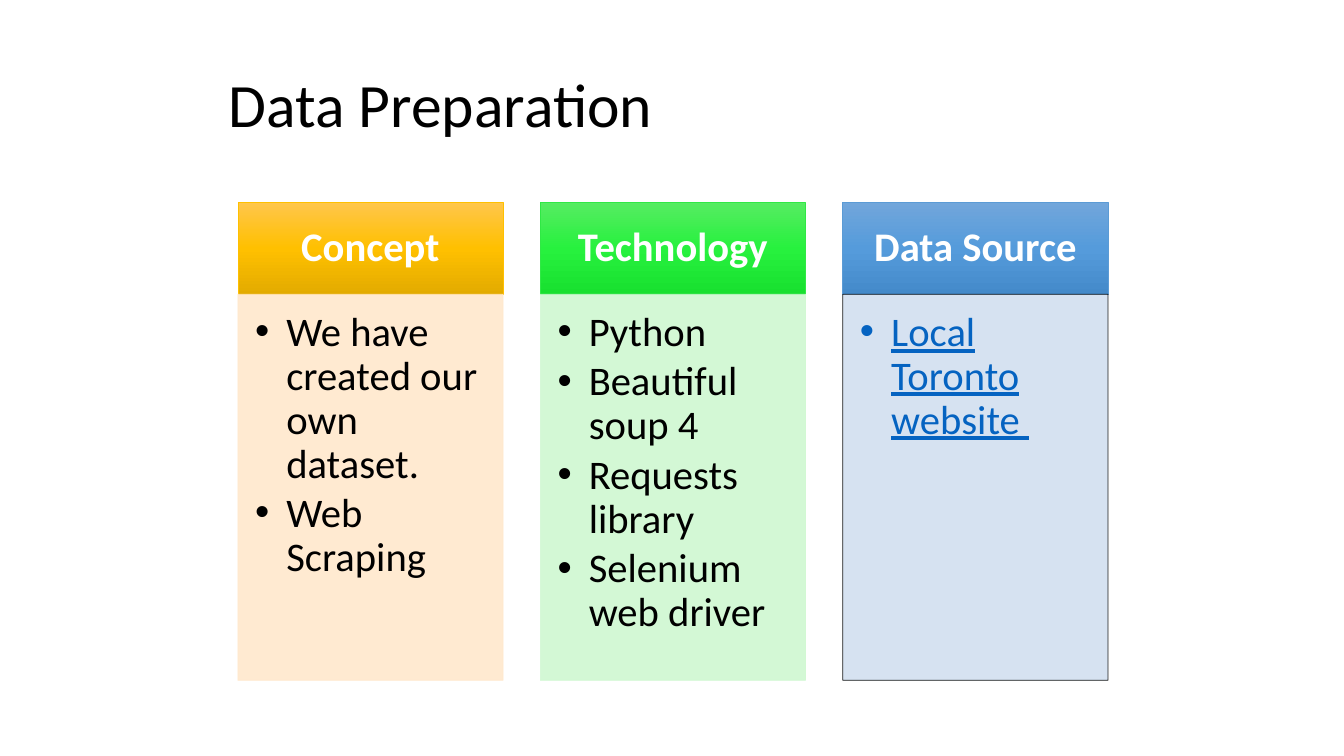
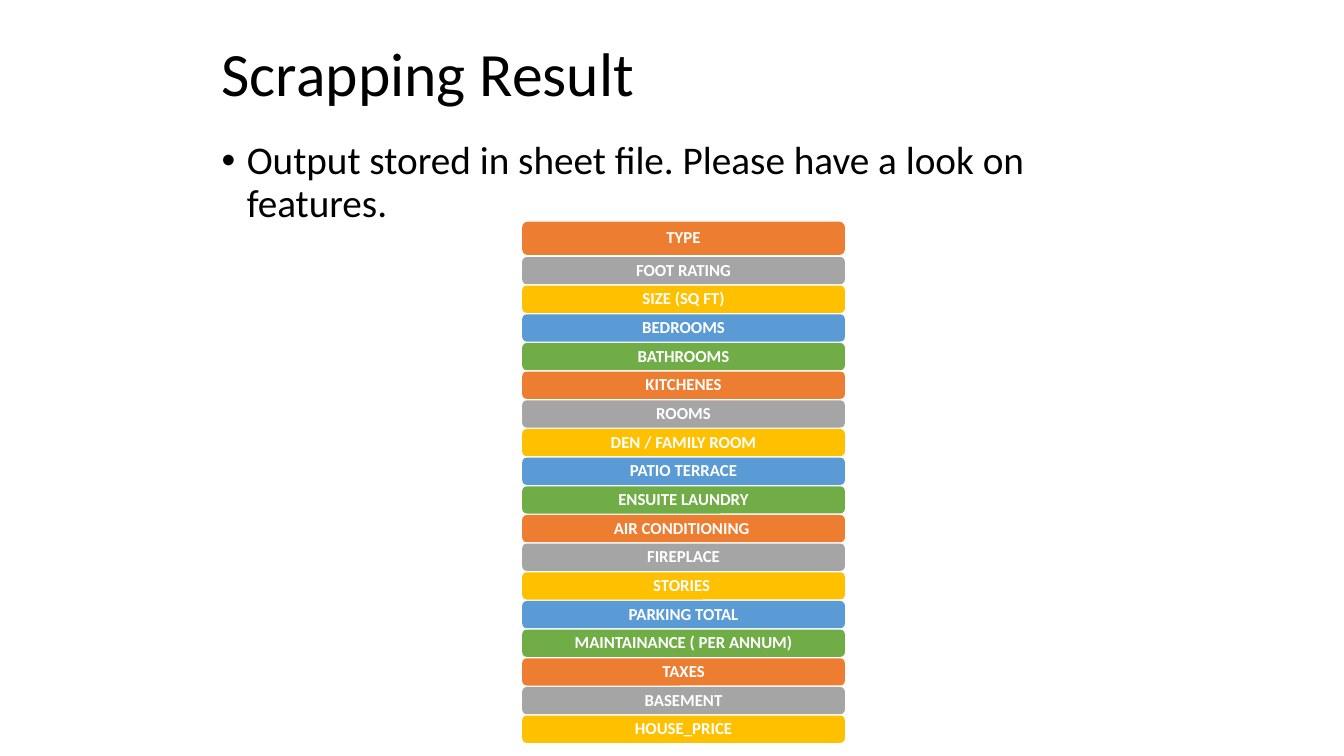
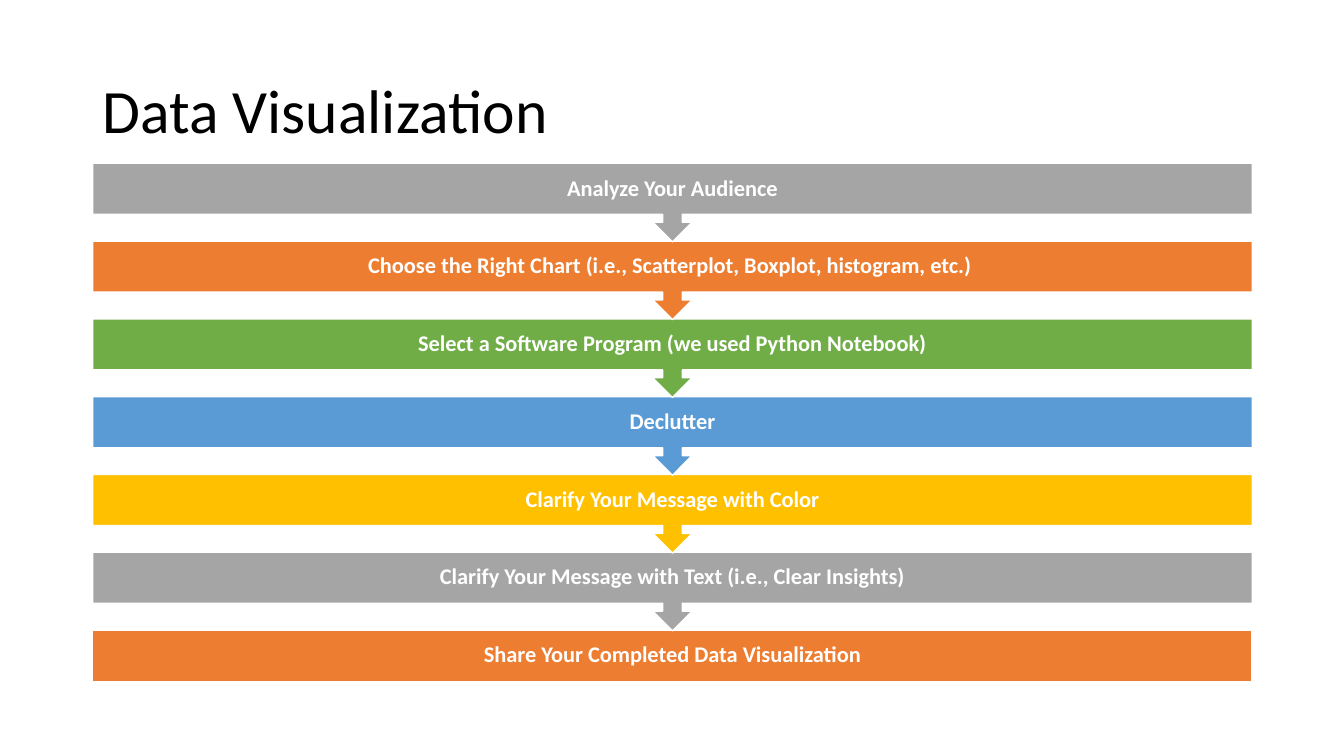
from copy import deepcopy
from dataclasses import dataclass

from lxml import etree
from pptx import Presentation
from pptx import util as u
from pptx.dml import color
from pptx.enum import shapes, text
from pptx.oxml.ns import qn

# Shared colours and text styles
RGB = color.RGBColor
BLACK = RGB(0x00, 0x00, 0x00)
WHITE = RGB(0xFF, 0xFF, 0xFF)
ORANGE = RGB(0xED, 0x7D, 0x31)
GRAY = RGB(0xA5, 0xA5, 0xA5)
GOLD = RGB(0xFF, 0xC0, 0x00)
BLUE = RGB(0x5B, 0x9B, 0xD5)
GREEN = RGB(0x70, 0xAD, 0x47)
LIME = RGB(0x30, 0xE8, 0x45)
LINK_BLUE = RGB(0x05, 0x63, 0xC1)
PALE_ORANGE = RGB(0xFF, 0xE8, 0xCC)
PALE_GREEN = RGB(0xCF, 0xF8, 0xD1)
PALE_BLUE = RGB(0xD2, 0xDF, 0xF0)
GOLD_SHADES = (RGB(0xFF, 0xC6, 0x4B), GOLD, RGB(0xE3, 0xAB, 0x00))
LIME_SHADES = (RGB(0x56, 0xEC, 0x62), RGB(0x27, 0xF1, 0x3E), RGB(0x18, 0xE0, 0x2F))
BLUE_SHADES = (RGB(0x71, 0xA6, 0xDB), RGB(0x55, 0x9B, 0xDB), RGB(0x44, 0x8A, 0xCA))

FONT = "Calibri"
PANEL_OPACITY = 90
DEFAULT_INSETS = (0.1, 0.05, 0.1, 0.05)


@dataclass(frozen=True)
class Box:
    left: float
    top: float
    width: float
    height: float

    def lengths(self) -> list:
        return [u.Inches(v) for v in (self.left, self.top, self.width, self.height)]


@dataclass(frozen=True)
class TextStyle:
    size: float
    color: RGB = BLACK
    bold: bool = False
    underline: bool = False
    centered: bool = False
    middle: bool = False
    indent: float = 0
    before: float = 0
    after: float = 0
    insets: tuple = DEFAULT_INSETS


@dataclass(frozen=True)
class Column:
    heading: str
    shades: tuple
    edge: RGB
    panel: RGB
    panel_edge: RGB
    items: tuple
    link: bool = False


TITLE = TextStyle(44, middle=True)
BODY = TextStyle(28, indent=0.25, before=10)


def label_style(size: float, insets: tuple) -> TextStyle:
    return TextStyle(size, WHITE, bold=True, centered=True, middle=True, insets=insets)


# Text and shape helpers
def set_attributes(target, values: dict) -> None:
    for name, value in values.items():
        setattr(target, name, value)


def add_bullet(paragraph, indent: float) -> None:
    properties = paragraph._p.get_or_add_pPr()
    properties.set("marL", str(u.Inches(indent)))
    properties.set("indent", str(-u.Inches(indent)))
    font = etree.SubElement(properties, qn("a:buFont"))
    font.set("typeface", "Arial")
    etree.SubElement(properties, qn("a:buChar")).set("char", "•")


def write_text(shape, lines: tuple, style: TextStyle) -> None:
    frame = shape.text_frame
    sides = ("margin_left", "margin_top", "margin_right", "margin_bottom")
    set_attributes(frame, dict(zip(sides, map(u.Inches, style.insets))))
    anchor = text.MSO_ANCHOR.MIDDLE if style.middle else text.MSO_ANCHOR.TOP
    set_attributes(frame, {"word_wrap": True, "vertical_anchor": anchor})
    for index, line in enumerate(lines):
        paragraph = frame.add_paragraph() if index else frame.paragraphs[0]
        set_attributes(paragraph, {
            "alignment": text.PP_ALIGN.CENTER if style.centered else text.PP_ALIGN.LEFT,
            "line_spacing": 0.9,
            "space_before": u.Pt(style.before),
            "space_after": u.Pt(style.after),
        })
        if style.indent:
            add_bullet(paragraph, style.indent)
        run = paragraph.add_run()
        run.text = line
        set_attributes(run.font, {
            "name": FONT,
            "size": u.Pt(style.size),
            "bold": style.bold,
            "underline": style.underline,
        })
        run.font.color.rgb = style.color


def add_text(slide, box: Box, line: str, style: TextStyle) -> None:
    write_text(slide.shapes.add_textbox(*box.lengths()), (line,), style)


def add_block(slide, kind, box: Box, fill: RGB, edge: RGB | None = None,
              edge_width: float = 1):
    shape = slide.shapes.add_shape(kind, *box.lengths())
    shape.shadow.inherit = False
    shape.fill.solid()
    shape.fill.fore_color.rgb = fill
    if edge is None:
        shape.line.fill.background()
    else:
        shape.line.color.rgb = edge
        shape.line.width = u.Pt(edge_width)
    return shape


def shade(shape, shades: tuple) -> None:
    shape.fill.gradient()
    shape.fill.gradient_angle = 270
    stops = shape._element.spPr.find(".//" + qn("a:gsLst"))
    stops.append(deepcopy(stops[-1]))
    for index, stop in enumerate(shape.fill.gradient_stops):
        stop.position = index / (len(shades) - 1)
        stop.color.rgb = shades[index]


def set_opacity(shape, percent: int) -> None:
    for tint in shape._element.spPr.iter(qn("a:srgbClr")):
        etree.SubElement(tint, qn("a:alpha")).set("val", str(percent * 1000))


def new_slide(presentation, title: str, title_box: Box):
    slide = presentation.slides.add_slide(presentation.slide_layouts[6])
    add_text(slide, title_box, title, TITLE)
    return slide


# Slide 1: three columns
COLUMNS = (
    Column("Concept", GOLD_SHADES, GOLD, PALE_ORANGE, PALE_ORANGE,
           ("We have created our own dataset.", "Web Scraping")),
    Column("Technology", LIME_SHADES, LIME, PALE_GREEN, PALE_GREEN,
           ("Python", "Beautiful soup 4", "Requests library", "Selenium web driver")),
    Column("Data Source", BLUE_SHADES, BLUE, PALE_BLUE, BLACK,
           ("Local Toronto website ",), link=True),
)


def build_preparation(presentation) -> None:
    slide = new_slide(presentation, "Data Preparation", Box(2.17, 0.44, 9, 1.25))
    heading_style = label_style(29, (0.23, 0.13, 0.23, 0.13))
    rectangle = shapes.MSO_SHAPE.RECTANGLE
    for index, column in enumerate(COLUMNS):
        left = 2.36 + index * 3
        heading = add_block(slide, rectangle, Box(left, 2.01, 2.63, 0.91),
                            column.shades[1], column.edge, 0.5)
        shade(heading, column.shades)
        write_text(heading, (column.heading,), heading_style)
        panel = add_block(slide, rectangle, Box(left, 2.92, 2.63, 3.83),
                          column.panel, column.panel_edge, 0.5)
        set_opacity(panel, PANEL_OPACITY)
        item_style = TextStyle(29, LINK_BLUE if column.link else BLACK,
                               underline=column.link, indent=0.31, after=4,
                               insets=(0.17, 0.17, 0.23, 0.25))
        write_text(panel, column.items, item_style)


# Slide 2: stack of features
FEATURES = (
    "TYPE", "FOOT RATING", "SIZE (SQ FT)", "BEDROOMS", "BATHROOMS", "KITCHENES",
    "ROOMS", "DEN / FAMILY ROOM", "PATIO TERRACE", "ENSUITE LAUNDRY",
    "AIR CONDITIONING ", "FIREPLACE", "STORIES ", "PARKING TOTAL",
    "MAINTAINANCE ( PER ANNUM)", "TAXES", "BASEMENT", "HOUSE_PRICE",
)
FEATURE_COLORS = (ORANGE, GRAY, GOLD, BLUE, GREEN)


def build_result(presentation) -> None:
    slide = new_slide(presentation, "Scrapping Result", Box(2.1, 0.13, 9, 1.25))
    add_text(slide, Box(2.1, 1.35, 9, 4.8),
             "Output stored in sheet file. Please have a look on features.", BODY)
    style = label_style(12, (0.05, 0.03, 0.05, 0.03))
    first_top, last_top = 2.55, 7.1
    pitch = (last_top - first_top) / (len(FEATURES) - 2)
    for index, feature in enumerate(FEATURES):
        if index:
            box = Box(5.18, first_top + (index - 1) * pitch, 3.2, 0.27)
        else:
            box = Box(5.18, 2.2, 3.2, 0.33)
        bar = add_block(slide, shapes.MSO_SHAPE.ROUNDED_RECTANGLE, box,
                        FEATURE_COLORS[index % len(FEATURE_COLORS)])
        write_text(bar, (feature,), style)


# Slide 3: steps from top to bottom
STEPS = (
    ("Analyze Your Audience", GRAY),
    ("Choose the Right Chart (i.e., Scatterplot, Boxplot, histogram, etc.) ", ORANGE),
    ("Select a Software Program (we used Python Notebook)", GREEN),
    ("Declutter", BLUE),
    ("Clarify Your Message with Color", GOLD),
    ("Clarify Your Message with Text (i.e., Clear Insights)", GRAY),
    ("Share Your Completed Data Visualization", ORANGE),
)


def build_visualization(presentation) -> None:
    slide = new_slide(presentation, "Data Visualization", Box(0.92, 0.4, 11.5, 1.45))
    style = label_style(16, (0.12, 0.12, 0.12, 0.12))
    first_top, last_top = 1.62, 6.25
    last = len(STEPS) - 1
    pitch = (last_top - first_top) / last
    # The lowest step is drawn first so that each arrow tip lies on top
    for index in range(last, -1, -1):
        label, fill = STEPS[index]
        kind, height = shapes.MSO_SHAPE.DOWN_ARROW_CALLOUT, 0.78
        if index == last:
            kind, height = shapes.MSO_SHAPE.RECTANGLE, 0.51
        box = Box(0.92, first_top + index * pitch, 11.5, height)
        step = add_block(slide, kind, box, fill, WHITE)
        write_text(step, (label,), style)


def main() -> None:
    presentation = Presentation()
    presentation.slide_width = u.Inches(13.33)
    presentation.slide_height = u.Inches(7.5)
    for build in (build_preparation, build_result, build_visualization):
        build(presentation)
    presentation.save("out.pptx")


if __name__ == "__main__":
    main()
